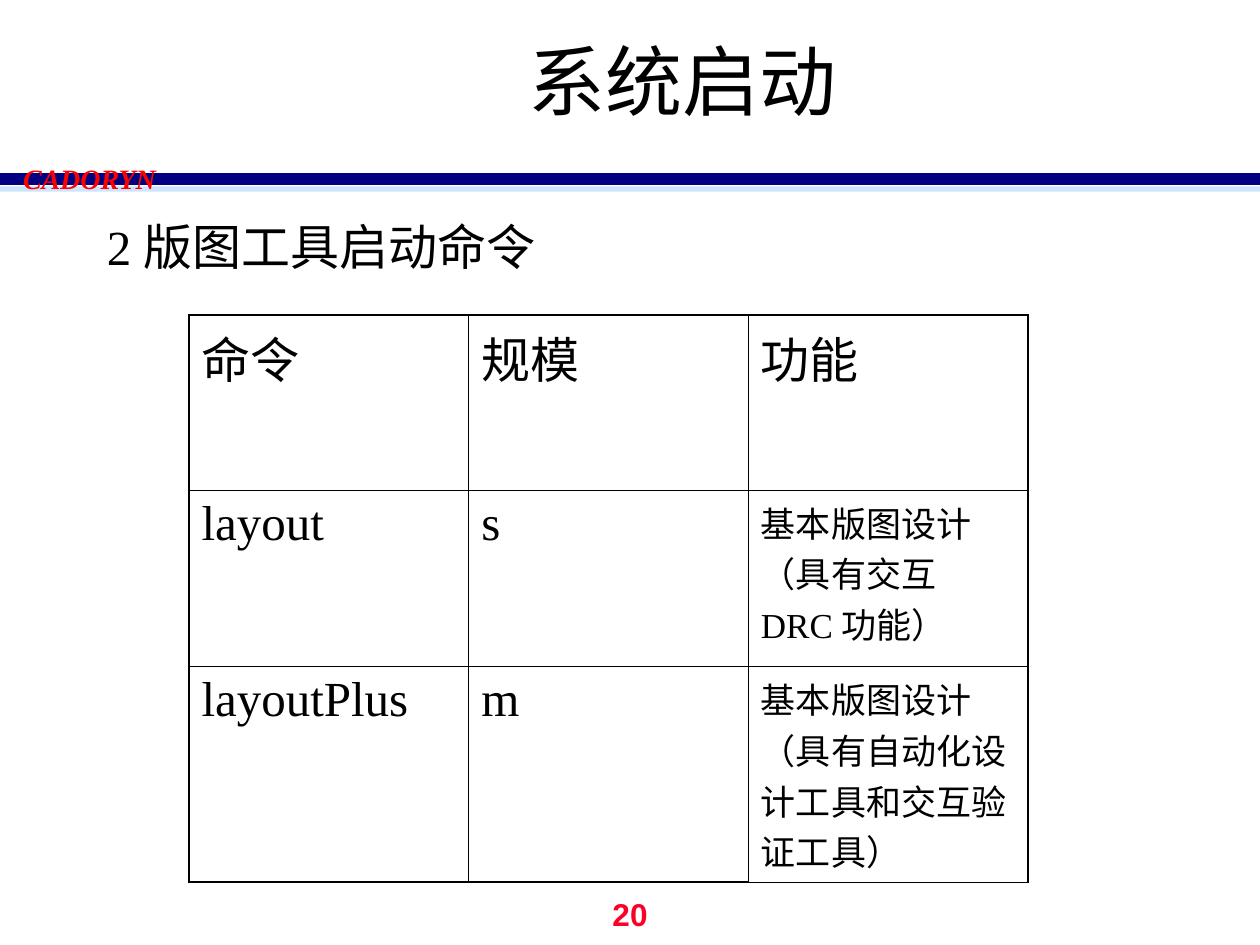
import dataclasses

import pptx
import pptx.dml.color
import pptx.enum.shapes
import pptx.enum.text
import pptx.oxml
import pptx.oxml.ns
import pptx.util
from lxml import etree

Inches = pptx.util.Inches
Pt = pptx.util.Pt
Align = pptx.enum.text.PP_ALIGN
Anchor = pptx.enum.text.MSO_ANCHOR
qn = pptx.oxml.ns.qn


@dataclasses.dataclass(frozen=True)
class Theme:
    ink: str = "000000"
    navy: str = "000080"
    sky: str = "99CCFF"
    brand: str = "FF0000"
    number: str = "FC0128"
    serif: str = "Times New Roman"
    sans: str = "Arial"
    title: int = 44
    body: int = 28
    detail: int = 20
    label: int = 16
    page_number: int = 18
    outer_border: float = 1.08
    inner_border: float = 0.45


THEME = Theme()
ROWS = [
    ["命令", "规模", "功能"],
    ["layout", "s", "基本版图设计（具有交互 DRC 功能）"],
    ["layoutPlus", "m", "基本版图设计（具有自动化设计工具和交互验证工具）"],
]
ROW_HEIGHTS = [1.39, 1.4, 1.71]


def write(frame, text, size, align=Align.LEFT, color=THEME.ink, **formats):
    para = frame.paragraphs[0]
    para.alignment = align
    span = para.add_run()
    span.text = text
    span.font.color.rgb = pptx.dml.color.RGBColor.from_string(color)
    for name, value in {"size": Pt(size), "name": THEME.serif, **formats}.items():
        setattr(span.font, name, value)


def add_text(page, box, text, size, anchor=Anchor.MIDDLE, wrap=True, **formats):
    frame = page.shapes.add_textbox(*map(Inches, box)).text_frame
    frame.word_wrap = wrap
    frame.vertical_anchor = anchor
    write(frame, text, size, **formats)


def add_rule(page, left, top, width, color, weight, opacity=100):
    rule = page.shapes.add_connector(
        pptx.enum.shapes.MSO_CONNECTOR.STRAIGHT,
        Inches(left), Inches(top), Inches(left + width), Inches(top))
    rule.line.width = Pt(weight)
    rule.line.color.rgb = pptx.dml.color.RGBColor.from_string(color)
    if opacity < 100:
        tint = rule.line._ln.find(".//" + qn("a:srgbClr"))
        etree.SubElement(tint, qn("a:alpha"), val=str(opacity * 1000))
    etree.SubElement(rule._element.spPr, qn("a:effectLst"))


def add_header(page, left, top, width):
    add_rule(page, left, top + 0.08, width, THEME.sky, 3, opacity=50)
    add_rule(page, left, top, width, THEME.navy, 7)
    add_text(page, (left, top - 0.09, 1.42, 0.17), "CADORYN", THEME.label,
             wrap=False, align=Align.CENTER, color=THEME.brand, bold=True, italic=True)


def add_footer(page, box):
    add_text(page, box, "20", THEME.page_number, wrap=False, align=Align.CENTER,
             color=THEME.number, name=THEME.sans, bold=True)


def set_borders(cell, weights):
    properties = cell._tc.get_or_add_tcPr()
    for side, weight in weights.items():
        border = etree.SubElement(properties, qn("a:ln" + side), w=str(Pt(weight)))
        fill = etree.SubElement(border, qn("a:solidFill"))
        etree.SubElement(fill, qn("a:srgbClr"), val=THEME.ink)


def add_command_table(page, left, top, width):
    last_row, last_column = len(ROWS) - 1, len(ROWS[0]) - 1
    table = page.shapes.add_table(
        len(ROWS), len(ROWS[0]), Inches(left), Inches(top),
        Inches(width), Inches(sum(ROW_HEIGHTS))).table
    table.first_row = table.horz_banding = False
    for row, height in zip(table.rows, ROW_HEIGHTS):
        row.height = Inches(height)
    for r, texts in enumerate(ROWS):
        for c, text in enumerate(texts):
            cell = table.cell(r, c)
            outer = {
                "L": c == 0,
                "R": c == last_column,
                "T": r == 0,
                "B": r == last_row and c < last_column,
            }
            set_borders(cell, {
                side: THEME.outer_border if edge else THEME.inner_border
                for side, edge in outer.items()})
            cell.fill.background()
            is_detail = r > 0 and c == last_column
            write(cell.text_frame, text, THEME.detail if is_detail else THEME.body)


def main():
    deck = pptx.Presentation()
    deck.slide_width, deck.slide_height = Inches(10), Inches(7.5)
    page = deck.slides.add_slide(deck.slide_layouts[6])
    add_header(page, 0, 1.42, 10)
    add_footer(page, (4.46, 7, 1.08, 0.5))
    add_text(page, (1.17, 0.17, 8.5, 0.92), "系统启动", THEME.title, align=Align.CENTER)
    add_text(page, (0.75, 1.67, 8.5, 5.17), "2 版图工具启动命令", THEME.body,
             anchor=Anchor.TOP)
    add_command_table(page, 1.5, 2.5, 6.66)
    deck.save("out.pptx")


if __name__ == "__main__":
    main()
